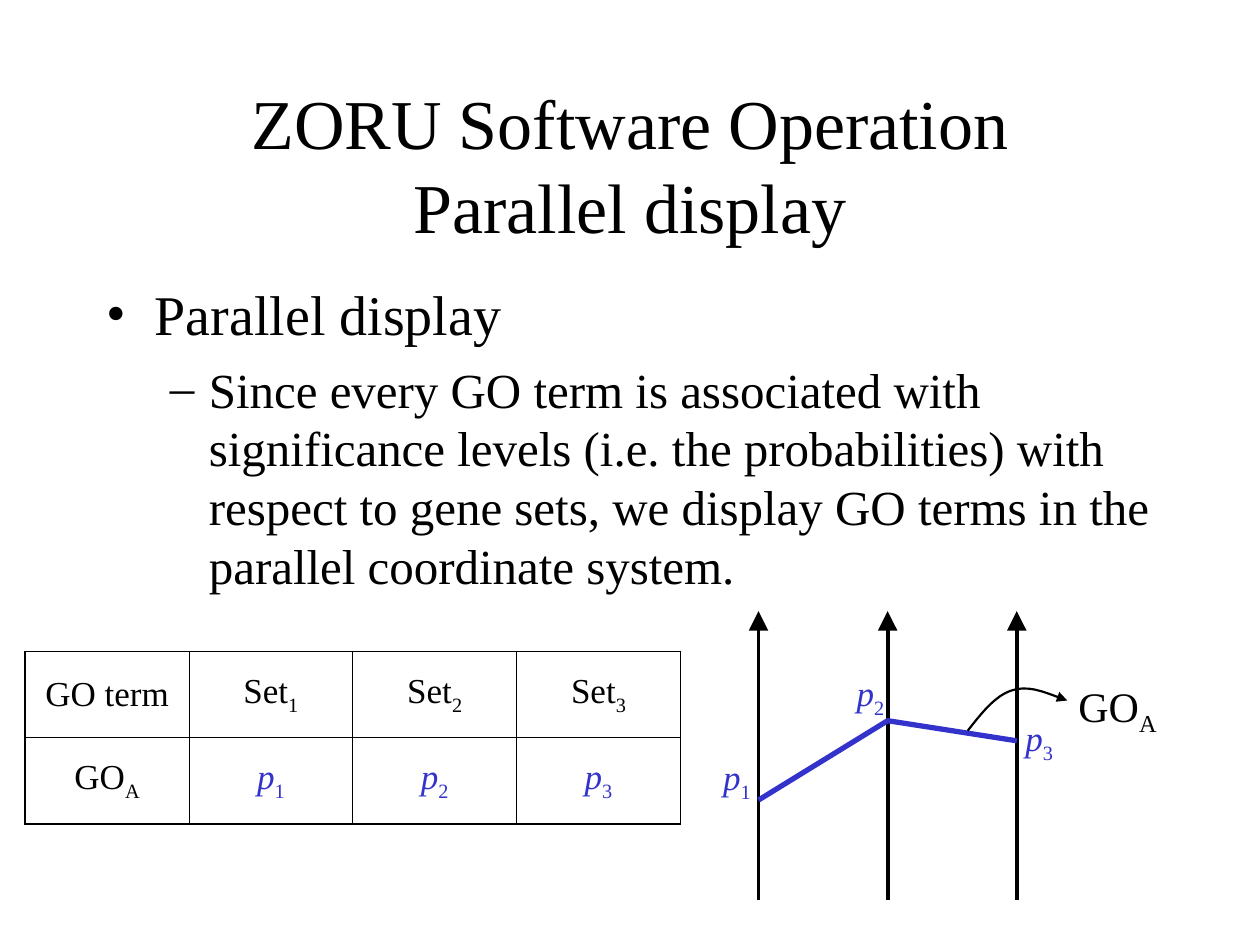
import pptx
import pptx.dml.color
import pptx.enum.shapes
import pptx.enum.text
import pptx.oxml
import pptx.oxml.ns
import pptx.util
from dataclasses import dataclass
from typing import Any

BLACK = pptx.dml.color.RGBColor(0x00, 0x00, 0x00)
BLUE = pptx.dml.color.RGBColor(0x33, 0x33, 0xCC)
FONT = "Times New Roman"
NAMESPACE = pptx.oxml.ns.nsdecls("a")
ALIGN = pptx.enum.text.PP_ALIGN
ANCHOR = pptx.enum.text.MSO_ANCHOR
AUTO_SIZE = pptx.enum.text.MSO_AUTO_SIZE

AXIS_LEFT, AXIS_GAP = 6.02, 1.025
AXIS_TOP, AXIS_BOTTOM = 4.85, 7.14
COLUMN_WIDTH, ROW_HEIGHT = 1.3, 0.685
OUTER_BORDER, INNER_BORDER = 1.08, 0.45


@dataclass(frozen=True)
class Term:
    base: str
    subscript: str = ""
    color: pptx.dml.color.RGBColor = BLACK
    italic: bool = False


@dataclass(frozen=True)
class Label:
    term: Term
    left: float
    top: float
    width: float
    height: float
    size: int


@dataclass(frozen=True)
class Bullet:
    text: str
    mark: str
    size: int
    margin: float
    hanging: float
    space_before: int


SETS = [Term("Set", str(number)) for number in (1, 2, 3)]
LEVELS = [Term("p", str(number), BLUE, True) for number in (1, 2, 3)]
GO_TERM = Term("GO", "A")
ROWS = [[Term("GO term"), *SETS], [GO_TERM, *LEVELS]]
LABELS = [
    Label(GO_TERM, 8.46, 5.35, 0.82, 0.56, 24),
    Label(LEVELS[0], 5.64, 5.95, 0.42, 0.48, 20),
    Label(LEVELS[1], 6.7, 5.28, 0.42, 0.48, 20),
    Label(LEVELS[2], 8.04, 5.64, 0.42, 0.48, 20),
]
BULLETS = [
    Bullet("Parallel display", "•", 32, 0.38, 0.38, 8),
    Bullet(
        "Since every GO term is associated with significance levels "
        "(i.e. the probabilities) with respect to gene sets, we display "
        "GO terms in the parallel coordinate system.",
        "–", 28, 0.81, 0.31, 7,
    ),
]


def inches(*values: float) -> list[int]:
    return [pptx.util.Inches(value) for value in values]


def apply_format(target: Any, **values: Any) -> None:
    for name, value in values.items():
        setattr(target, name, value)


def add_run(paragraph: Any, text: str, size: int, color=BLACK, italic: bool = False) -> Any:
    run = paragraph.add_run()
    run.text = text
    apply_format(run.font, name=FONT, size=pptx.util.Pt(size), italic=italic)
    run.font.color.rgb = color
    return run


def write_term(paragraph: Any, term: Term, size: int) -> None:
    add_run(paragraph, term.base, size, term.color, term.italic)
    if term.subscript:
        run = add_run(paragraph, term.subscript, size, term.color)
        run._r.get_or_add_rPr().set("baseline", "-25000")


def add_title(slide: Any, lines: list[str]) -> None:
    title = slide.shapes.title
    left, top, width, height = inches(0.75, 0.67, 8.5, 1.25)
    apply_format(title, left=left, top=top, width=width, height=height)
    apply_format(title.text_frame, auto_size=AUTO_SIZE.NONE,
                 vertical_anchor=ANCHOR.MIDDLE, word_wrap=True)
    paragraph = title.text_frame.paragraphs[0]
    paragraph.alignment = ALIGN.CENTER
    for index, line in enumerate(lines):
        if index:
            paragraph.add_line_break()
        add_run(paragraph, line, 40)


def add_body(slide: Any, bullets: list[Bullet]) -> None:
    frame = slide.shapes.add_textbox(*inches(0.75, 2.17, 8.5, 4.5)).text_frame
    frame.word_wrap = True
    for index, bullet in enumerate(bullets):
        paragraph = frame.add_paragraph() if index else frame.paragraphs[0]
        apply_format(paragraph, level=index, space_before=pptx.util.Pt(bullet.space_before))
        add_run(paragraph, bullet.text, bullet.size)
        properties = paragraph._p.get_or_add_pPr()
        margin, hanging = inches(bullet.margin, bullet.hanging)
        properties.set("marL", str(margin))
        properties.set("indent", str(-hanging))
        for tag in (f'buFont {NAMESPACE} typeface="{FONT}"', f'buChar {NAMESPACE} char="{bullet.mark}"'):
            properties.append(pptx.oxml.parse_xml(f"<a:{tag}/>"))


def add_border(cell: Any, side: str, points: float) -> None:
    cell._tc.get_or_add_tcPr().append(pptx.oxml.parse_xml(
        f'<a:ln{side} {NAMESPACE} w="{pptx.util.Pt(points)}">'
        f'<a:solidFill><a:srgbClr val="{BLACK}"/></a:solidFill></a:ln{side}>'))


def add_term_table(slide: Any, rows: list[list[Term]]) -> None:
    row_count, column_count = len(rows), len(rows[0])
    table = slide.shapes.add_table(
        row_count, column_count,
        *inches(0.2, 5.17, column_count * COLUMN_WIDTH, row_count * ROW_HEIGHT)).table
    apply_format(table, first_row=False, horz_banding=False)
    for row_index, row in enumerate(rows):
        for column_index, term in enumerate(row):
            cell = table.cell(row_index, column_index)
            cell.vertical_anchor = ANCHOR.MIDDLE
            outer_sides = {
                "L": column_index == 0,
                "R": column_index == column_count - 1,
                "T": row_index == 0,
                "B": row_index == row_count - 1,
            }
            for side, outer in outer_sides.items():
                add_border(cell, side, OUTER_BORDER if outer else INNER_BORDER)
            cell.fill.background()
            paragraph = cell.text_frame.paragraphs[0]
            apply_format(paragraph, alignment=ALIGN.CENTER, space_before=pptx.util.Pt(5))
            write_term(paragraph, term, 20)


def style_line(shape: Any, color: pptx.dml.color.RGBColor, points: float, head: str = "") -> None:
    shape.line.color.rgb = color
    shape.line.width = pptx.util.Pt(points)
    if head:
        shape.line._get_or_add_ln().append(pptx.oxml.parse_xml(
            f'<a:tailEnd {NAMESPACE} type="triangle" w="{head}" len="{head}"/>'))


def add_axis(slide: Any, x: float) -> None:
    axis = slide.shapes.add_connector(
        pptx.enum.shapes.MSO_CONNECTOR.STRAIGHT,
        *inches(x, AXIS_BOTTOM, x, AXIS_TOP))
    style_line(axis, BLACK, 2.24, "lg")
    axis._element.spPr.append(pptx.oxml.parse_xml(f"<a:effectLst {NAMESPACE}/>"))


def add_open_path(slide: Any, points: list[tuple[float, float]]) -> Any:
    start, *others = [tuple(inches(*point)) for point in points]
    builder = slide.shapes.build_freeform(*start)
    builder.add_line_segments(others, close=False)
    shape = builder.convert_to_shape()
    shape.fill.background()
    shape.shadow.inherit = False
    return shape


def bend_segments(shape: Any) -> None:
    segments = list(shape._element.iter(pptx.oxml.ns.qn("a:lnTo")))
    for first in range(0, len(segments), 3):
        curve = pptx.oxml.parse_xml(f"<a:cubicBezTo {NAMESPACE}/>")
        segments[first].addprevious(curve)
        for segment in segments[first:first + 3]:
            curve.append(segment[0])
            segment.getparent().remove(segment)


def add_label(slide: Any, label: Label) -> None:
    box = slide.shapes.add_textbox(*inches(label.left, label.top, label.width, label.height))
    apply_format(box.text_frame, word_wrap=False, auto_size=AUTO_SIZE.SHAPE_TO_FIT_TEXT)
    write_term(box.text_frame.paragraphs[0], label.term, label.size)


presentation = pptx.Presentation()
presentation.slide_width, presentation.slide_height = inches(10, 7.5)
slide = presentation.slides.add_slide(presentation.slide_layouts[5])
add_title(slide, ["ZORU Software Operation", "Parallel display"])
add_body(slide, BULLETS)
add_term_table(slide, ROWS)
axes = [AXIS_LEFT + index * AXIS_GAP for index in range(len(SETS))]
for axis_x in axes:
    add_axis(slide, axis_x)
style_line(add_open_path(slide, list(zip(axes, (6.35, 5.72, 5.88)))), BLUE, 3)
pointer = add_open_path(slide, [(7.68, 5.8), (7.79, 5.66), (7.9, 5.52), (8.03, 5.48),
                                (8.16, 5.44), (8.31, 5.5), (8.47, 5.56)])
bend_segments(pointer)
style_line(pointer, BLACK, 1.25, "med")
for label in LABELS:
    add_label(slide, label)
presentation.save("out.pptx")
